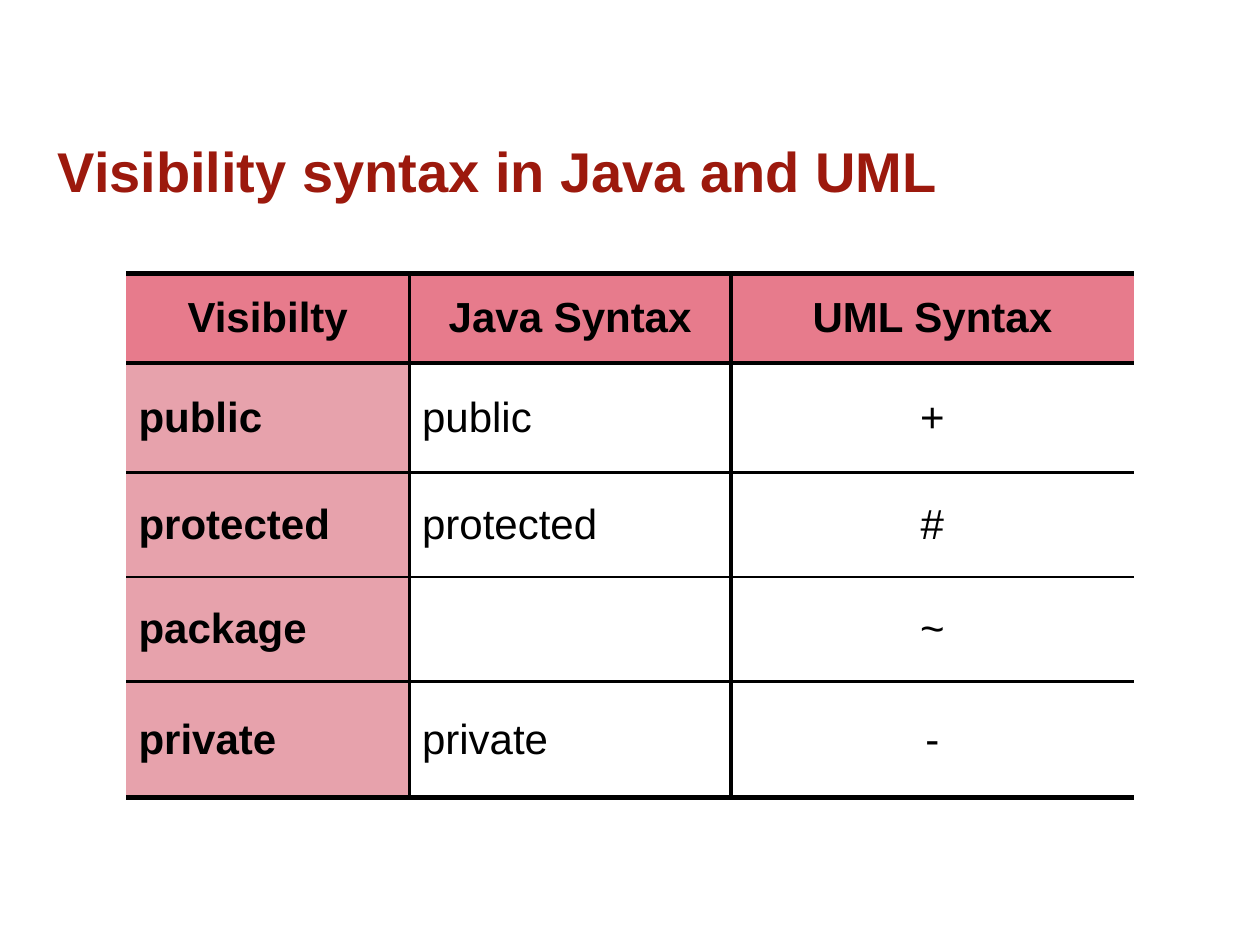
from lxml.etree import SubElement
from pptx import Presentation
from pptx.dml.color import RGBColor
from pptx.enum.text import MSO_ANCHOR as Anchor, PP_ALIGN as Align
from pptx.oxml import parse_xml
from pptx.oxml.ns import nsdecls, qn
from pptx.util import Inches, Pt

WIDE, HIGH = Inches(10), Inches(7.5)
COL, ROW = WIDE / 100, HIGH / 100
RED = RGBColor(0x9C, 0x19, 0x0D)
ROSE = RGBColor(0xE7, 0x7B, 0x8C)
PINK = RGBColor(0xE7, 0xA2, 0xAC)
BLACK = RGBColor(0, 0, 0)

TITLE = "Visibility syntax in Java and UML"
DATA = [
    ("Visibilty", "Java Syntax", "UML Syntax"),
    ("public", "public", "+"),
    ("protected", "protected", "#"),
    ("package", "", "~"),
    ("private", "private", "-"),
]
COLS = [22.5, 25.5, 32]
ROWS = [9.47, 11.6, 11.07, 11.07, 12.27]
RULES = [3, 3, 1.5, 1.5, 3, 3]
RULES = [3, 3, 1.5, 1.5, 1.5, 3]
SIDES = [0, 2.25, 2.25, 0]


def scale(box):
    x, y, w, h = box
    return [int(n) for n in (x * COL, y * ROW, w * COL, h * ROW)]


def write(frame, text, align, **form):
    par = frame.paragraphs[0]
    par.alignment = align
    if not text:
        return
    run = par.add_run()
    run.text = text
    ink = form.pop("color")
    for key, val in form.items():
        setattr(run.font, key, val)
    run.font.color.rgb = ink


def edge(cell, widths):
    props = cell._tc.get_or_add_tcPr()
    for spot, (side, width) in enumerate(zip("LRTB", widths)):
        line = parse_xml(f'<a:ln{side} {nsdecls("a")} w="{Pt(width)}"/>')
        if width:
            fill = SubElement(line, qn("a:solidFill"))
            SubElement(fill, qn("a:srgbClr"), val=str(BLACK))
        else:
            SubElement(line, qn("a:noFill"))
        props.insert(spot, line)


def head(slide, box):
    frame = slide.shapes.add_textbox(*scale(box)).text_frame
    frame.word_wrap = True
    frame.vertical_anchor = Anchor.MIDDLE
    write(frame, TITLE, Align.LEFT, name="Arial", size=Pt(32), bold=True, color=RED)


def grid(slide, box):
    shape = slide.shapes.add_table(len(ROWS), len(COLS), *scale(box))
    table = shape.table
    table.first_row = table.horz_banding = False
    for col, share in zip(table.columns, COLS):
        col.width = int(share * COL)
    for row, share in zip(table.rows, ROWS):
        row.height = int(share * ROW)
    for r, line in enumerate(DATA):
        for c, text in enumerate(line):
            cell = table.cell(r, c)
            cell.vertical_anchor = Anchor.MIDDLE
            top, side = r == 0, c == 0
            if top or side:
                cell.fill.solid()
                cell.fill.fore_color.rgb = ROSE if top else PINK
            else:
                cell.fill.background()
            align = Align.CENTER if top or c == 2 else Align.LEFT
            write(cell.text_frame, text, align, name="Arial", size=Pt(24),
                  bold=top or side, color=BLACK)
            edge(cell, SIDES[c:c + 2] + RULES[r:r + 2])


def main():
    deck = Presentation()
    deck.slide_width, deck.slide_height = WIDE, HIGH
    slide = deck.slides.add_slide(deck.slide_layouts[6])
    head(slide, (3.6, 13.2, 92.8, 9.6))
    grid(slide, (10, 28.93, sum(COLS), sum(ROWS)))
    deck.save("out.pptx")


if __name__ == "__main__":
    main()
